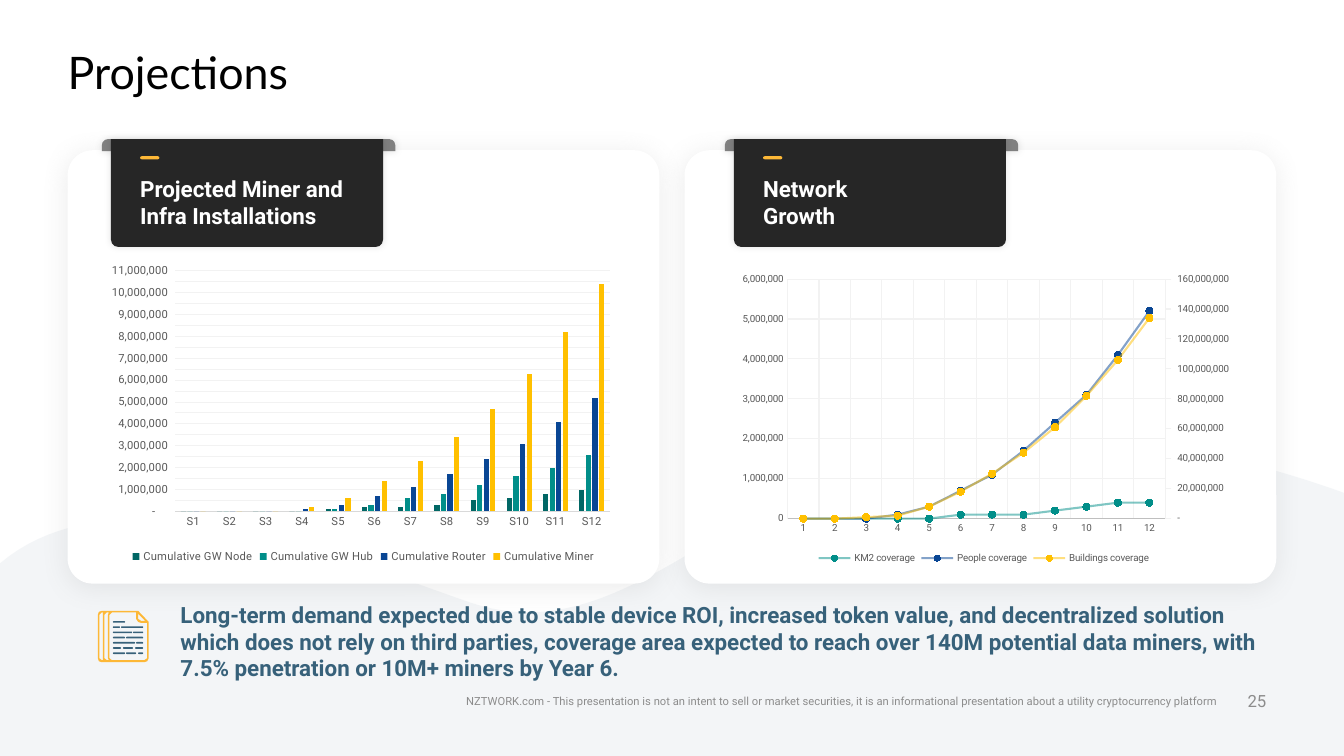
from copy import deepcopy
from dataclasses import dataclass
from typing import NamedTuple

from lxml import etree
from pptx import Presentation, util as u
from pptx.chart import axis as axes, data as chart_data
from pptx.dml.color import RGBColor
from pptx.enum import chart as ec, shapes, text
from pptx.oxml import parse_xml
from pptx.oxml.ns import nsdecls, qn

WIDTH, HEIGHT = u.Inches(13.333), u.Inches(7.5)
CELL = u.Inches(0.01)  # grid unit of the document icon
GREEN, TEAL, NAVY, YELLOW = "016765", "018E89", "094694", "FFC000"
AMBER, SLATE, GREY, PALE = "FDB837", "37617A", "595959", "F2F2F2"
MILLION = 1_000_000
DASH_FORMAT = '_(* #,##0_);_(* \\(#,##0\\);_(* "-"??_);_(@_)'


class Box(NamedTuple):
    """Percent shares of the slide's width and height."""
    left: float
    top: float
    width: float
    height: float

    def emu(self, shift: float = 0) -> tuple:
        return (across(self.left + shift), down(self.top), across(self.width), down(self.height))


class Style(NamedTuple):
    size: float
    color: str
    bold: bool = False
    font: str = "Roboto"


class Shadow(NamedTuple):
    color: str
    alpha: int
    blur: float
    distance: float = 0
    direction: int = 0


@dataclass
class Panel:
    heading: str
    card_left: float
    shift: float  # tag offset from the first panel


@dataclass
class Series:
    name: str
    color: str
    millions: list


def across(share: float) -> int:
    return round(WIDTH * share / 100)


def down(share: float) -> int:
    return round(HEIGHT * share / 100)


def rgb(color: str) -> RGBColor:
    return RGBColor.from_string(color)


def paint(fill, color: str) -> None:
    fill.solid()
    fill.fore_color.rgb = rgb(color)


def set_alpha(color_element, percent: int) -> None:
    etree.SubElement(color_element, qn("a:alpha")).set("val", str(percent * 1000))


def finish(shape, color: str) -> None:
    shape.shadow.inherit = False
    paint(shape.fill, color)
    shape.line.fill.background()


def add_shape(kind, place: tuple, color: str, adjustments=(), shadow: Shadow | None = None):
    shape = slide.shapes.add_shape(kind, *place)
    finish(shape, color)
    for index, value in enumerate(adjustments):
        shape.adjustments[index] = value
    if shadow:
        effects = shape._element.spPr.find(qn("a:effectLst"))
        effects.append(parse_xml(
            f'<a:outerShdw {nsdecls("a")} blurRad="{u.Pt(shadow.blur)}" dist="{u.Pt(shadow.distance)}" '
            f'dir="{shadow.direction * 60000}" algn="ctr" rotWithShape="0"><a:srgbClr val="{shadow.color}">'
            f'<a:alpha val="{shadow.alpha * 1000}"/></a:srgbClr></a:outerShdw>'))
    return shape


def add_freeform(contours: list, color: str):
    builder = slide.shapes.build_freeform(*contours[0][0])
    for index, contour in enumerate(contours):
        if index:
            builder.move_to(*contour[0])
        builder.add_line_segments(contour[1:], close=True)
    shape = builder.convert_to_shape()
    finish(shape, color)
    return shape


def set_font(font, style: Style) -> None:
    font.size, font.bold, font.name = u.Pt(style.size), style.bold, style.font
    font.color.rgb = rgb(style.color)


def write(shape, content: str, style: Style, align=text.PP_ALIGN.LEFT, anchor=text.MSO_ANCHOR.TOP) -> None:
    frame = shape.text_frame
    frame.text = content
    frame.word_wrap, frame.vertical_anchor = True, anchor
    frame.auto_size = text.MSO_AUTO_SIZE.NONE
    frame.margin_left = frame.margin_right = frame.margin_top = frame.margin_bottom = 0
    for paragraph in frame.paragraphs:
        paragraph.alignment = align
        for run in paragraph.runs:
            set_font(run.font, style)


def bezier(start, first, second, end, steps: int = 40) -> list:
    return [tuple((1 - t) ** 3 * a + 3 * (1 - t) ** 2 * t * b + 3 * (1 - t) * t * t * c + t ** 3 * d
                  for a, b, c, d in zip(start, first, second, end))
            for t in (step / steps for step in range(1, steps + 1))]


def style_axis(axis, size: float, line: str | None, grid: str | None) -> None:
    set_font(axis.tick_labels.font, Style(size, GREY))
    axis.major_tick_mark = axis.minor_tick_mark = ec.XL_TICK_MARK.NONE
    if line:
        paint(axis.format.line.fill, line)
        axis.format.line.width = u.Pt(0.75)
    else:
        axis.format.line.fill.background()
    axis.has_major_gridlines = bool(grid)
    if grid:
        paint(axis.major_gridlines.format.line.fill, grid)
        axis.major_gridlines.format.line.width = u.Pt(0.75)


def scale_axis(axis, top: float, step: float, number_format: str) -> None:
    axis.minimum_scale, axis.maximum_scale, axis.major_unit = 0, top, step
    axis.tick_labels.number_format = number_format
    axis.tick_labels.number_format_is_linked = False


def add_chart(kind, box: Box, categories: list, series: list, size: float, plot_area: tuple):
    data = chart_data.CategoryChartData()
    data.categories = categories
    for entry in series:
        data.add_series(entry.name, [round(value * MILLION) for value in entry.millions])
    chart = slide.shapes.add_chart(kind, *box.emu(), data).chart
    set_font(chart.font, Style(size, "000000"))
    chart.has_title, chart.has_legend = False, True
    chart.legend.position, chart.legend.include_in_layout = ec.XL_LEGEND_POSITION.BOTTOM, False
    set_font(chart.legend.font, Style(size, GREY))
    chart.plots[0].vary_by_categories = False
    area = chart._chartSpace.chart.plotArea
    for layout in area.findall(qn("c:layout")):
        area.remove(layout)
    sizes = "".join(f'<c:{key} val="{value}"/>' for key, value in zip("xywh", plot_area))
    area.insert(0, parse_xml(
        f'<c:layout {nsdecls("c")}><c:manualLayout><c:layoutTarget val="inner"/>'
        f'<c:xMode val="edge"/><c:yMode val="edge"/>{sizes}</c:manualLayout></c:layout>'))
    return chart


def add_right_axis(chart) -> axes.ValueAxis:
    """Move the last series to a second line plot with its own value axis."""
    area = chart._chartSpace.chart.plotArea
    plot, category, value = (area.find(qn(f"c:{tag}")) for tag in ("lineChart", "catAx", "valAx"))
    plot2, category2, value2 = map(deepcopy, (plot, category, value))
    plot.remove(plot.findall(qn("c:ser"))[-1])
    for moved in plot2.findall(qn("c:ser"))[:-1]:
        plot2.remove(moved)
    plot.addnext(plot2)
    value.addnext(value2)
    value2.addnext(category2)
    for element, ids in ((plot2, ("5001", "5002")), (category2, ("5001",)), (value2, ("5002",))):
        for node, number in zip(element.findall(qn("c:axId")), ids):
            node.set("val", number)
    category2.find(qn("c:crossAx")).set("val", "5002")
    value2.find(qn("c:crossAx")).set("val", "5001")
    value2.find(qn("c:crosses")).set("val", "max")
    value2.find(qn("c:axPos")).set("val", "r")
    axes.CategoryAxis(category2).visible = False
    axes.CategoryAxis(category2).has_major_gridlines = False
    return axes.ValueAxis(value2)


presentation = Presentation()
presentation.slide_width, presentation.slide_height = WIDTH, HEIGHT
slide = presentation.slides.add_slide(presentation.slide_layouts[5])

# Background wave
wave = [(100, 65.2)]
for curve in (((100, 65.2), (78.15, 50.53), (65.33, 59.73)),
              ((52.43, 68.93), (45.15, 85.73), (35.03, 79.73)),
              ((24.9, 73.47), (8.63, 61.47), (0, 74.53))):
    wave += bezier(wave[-1], *curve)
wave += [(0, 100), (100, 100)]
backdrop = add_freeform([[(across(x), down(y)) for x, y in wave]], "D6DCE5")
set_alpha(backdrop.fill._xPr.find(qn("a:solidFill"))[0], 27)

# Title, footer, page number and closing statement
title = slide.shapes.title
title.left, title.top, title.width, title.height = Box(5.03, 6.67, 90, 8.8).emu()
write(title, "Projections", Style(32, "000000", font="Lato"))
title.text_frame.paragraphs[0].line_spacing = 0.9
MIDDLE = text.MSO_ANCHOR.MIDDLE
for box, content, style, align, anchor in (
        (Box(27.6, 90, 63.08, 5.33), "NZTWORK.com - This presentation is not an intent to sell or market securities, "
         "it is an informational presentation about a utility cryptocurrency platform",
         Style(8, "8C8C8C"), text.PP_ALIGN.RIGHT, MIDDLE),
        (Box(92.03, 90, 3, 5.33), "25", Style(12, "8C8C8C"), text.PP_ALIGN.CENTER, MIDDLE),
        (Box(13.43, 79.47, 80.1, 10.8), "Long-term demand expected due to stable device ROI, increased token value, "
         "and decentralized solution which does not rely on third parties, coverage area expected to reach over 140M "
         "potential data miners, with 7.5% penetration or 10M+ miners by Year 6.",
         Style(16, SLATE, True), text.PP_ALIGN.LEFT, text.MSO_ANCHOR.TOP)):
    write(slide.shapes.add_textbox(*box.emu()), content, style, align, anchor)

# Cards with dark heading tags
ROUND, TAB = shapes.MSO_SHAPE.ROUNDED_RECTANGLE, shapes.MSO_SHAPE.ROUND_2_SAME_RECTANGLE
tag_shadow = Shadow("000000", 10, 5)
for panel in (Panel("Projected Miner and Infra Installations", 5.03, 0), Panel("Network\nGrowth", 50.93, 46.35)):
    add_shape(ROUND, Box(panel.card_left, 19.87, 44.03, 57.33).emu(), "FFFFFF", [0.058],
              Shadow("808080", 14, 19, 3, 90))
    add_shape(TAB, Box(7.58, 18.4, 21.83, 1.6).emu(panel.shift), "808080", [0.5, 0], tag_shadow)
    plate = add_shape(TAB, Box(8.25, 18.4, 20.25, 14.27).emu(panel.shift), "262626", [0.07, 0], tag_shadow)
    plate.rotation = 180
    heading = slide.shapes.add_textbox(*Box(10.43, 23.2, 17.48, 7.2).emu(panel.shift))
    write(heading, panel.heading, Style(16, "FFFFFF", True))
    add_shape(ROUND, Box(10.43, 20.67, 1.43, 0.4).emu(panel.shift), AMBER, [0.5])

# Installations column chart
routers = [0, 0, 0, 0.1, 0.3, 0.7, 1.1, 1.7, 2.4, 3.1, 4.1, 5.2]
installations = [
    Series("Cumulative GW Node", GREEN, [0, 0, 0, 0, 0.1, 0.2, 0.2, 0.3, 0.5, 0.6, 0.8, 1]),
    Series("Cumulative GW Hub", TEAL, [0, 0, 0, 0, 0.1, 0.3, 0.6, 0.8, 1.2, 1.6, 2, 2.6]),
    Series("Cumulative Router", NAVY, routers),
    Series("Cumulative Miner", YELLOW, [0, 0, 0, 0.2, 0.6, 1.4, 2.3, 3.4, 4.7, 6.3, 8.2, 10.4])]
columns = add_chart(ec.XL_CHART_TYPE.COLUMN_CLUSTERED, Box(7.58, 33.73, 38.93, 41.33),
                    [f"S{n}" for n in range(1, 13)], installations, 8, (0.14, 0.051, 0.831, 0.77))
columns.plots[0].gap_width, columns.plots[0].overlap = 219, -27
style_axis(columns.category_axis, 8, "D9D9D9", None)
style_axis(columns.value_axis, 8, None, PALE)
scale_axis(columns.value_axis, 11 * MILLION, MILLION / 2, DASH_FORMAT)
for entry, bars in zip(installations, columns.series):
    paint(bars.format.fill, entry.color)

# Network growth line chart
growth = [Series("KM2 coverage", TEAL, [0, 0, 0, 0, 0, 0.1, 0.1, 0.1, 0.2, 0.3, 0.4, 0.4]),
          Series("People coverage", NAVY, routers),
          Series("Buildings coverage", YELLOW, [0, 0, 1, 2, 8, 18, 30, 44, 61, 82, 106, 134])]
lines = add_chart(ec.XL_CHART_TYPE.LINE_MARKERS, Box(53.93, 34.27, 38.55, 40.8),
                  [str(n) for n in range(1, 13)], growth, 7, (0.121, 0.065, 0.729, 0.777))
style_axis(lines.category_axis, 7, "BFBFBF", PALE)
style_axis(lines.value_axis, 7, PALE, PALE)
scale_axis(lines.value_axis, 6 * MILLION, MILLION, "#,##0")
for entry, curve in zip(growth, lines.series):
    curve.smooth = False
    curve.format.line.width = u.Pt(1.5)
    paint(curve.format.line.fill, entry.color)
    set_alpha(curve._element.xpath("./c:spPr/a:ln/a:solidFill/a:srgbClr")[0], 50)
    curve.marker.style, curve.marker.size = ec.XL_MARKER_STYLE.CIRCLE, 5
    paint(curve.marker.format.fill, entry.color)
    paint(curve.marker.format.line.fill, entry.color)
right_axis = add_right_axis(lines)
style_axis(right_axis, 7, PALE, None)
right_axis.major_tick_mark = ec.XL_TICK_MARK.OUTSIDE
scale_axis(right_axis, 160 * MILLION, 20 * MILLION, DASH_FORMAT)

# Document icon: stacked sheets, then rows of text bars as (column, width)
icon_left, icon_top = across(7.28), down(80.8)
sheets = [
    [(40, 0), (4, 0), (1, 1), (0, 4), (0, 47), (1, 50), (4, 51), (46, 51), (49, 50), (50.5, 47), (50.5, 11)],
    [(40, 3), (47, 10), (43, 10), (40, 8)],
    [(5, 49), (4, 49), (1.5, 47), (1.5, 4), (4, 1.5), (5, 1.5), (5, 4), (5, 47)],
    [(11, 49), (9, 49), (6.5, 47), (6.5, 4), (9, 1.5), (11, 1.5), (10, 4), (10, 47)],
    [(49, 47), (46, 49), (14, 49), (11.5, 47), (11.5, 4), (14, 1.5), (38, 1.5), (38, 8), (40, 11), (43, 12), (49, 12)]]
add_freeform([[(icon_left + round(x * CELL), icon_top + round(y * CELL)) for x, y in sheet] for sheet in sheets], AMBER)
bar_rows = [[(15, 12)], [(15, 7), (23, 22)], [(15, 19), (35, 10)], [(15, 12), (28, 17)], [(15, 22), (38, 7)],
            [(15, 8), (25, 10), (37, 8)], [(15, 12), (28, 10), (40, 5)]]
for row, bar_row in enumerate(bar_rows):
    for column, width in bar_row:
        add_shape(ROUND, (icon_left + column * CELL, icon_top + round((10.2 + 5.17 * row) * CELL),
                          width * CELL, round(1.6 * CELL)), SLATE, [0.5])

presentation.save("out.pptx")
